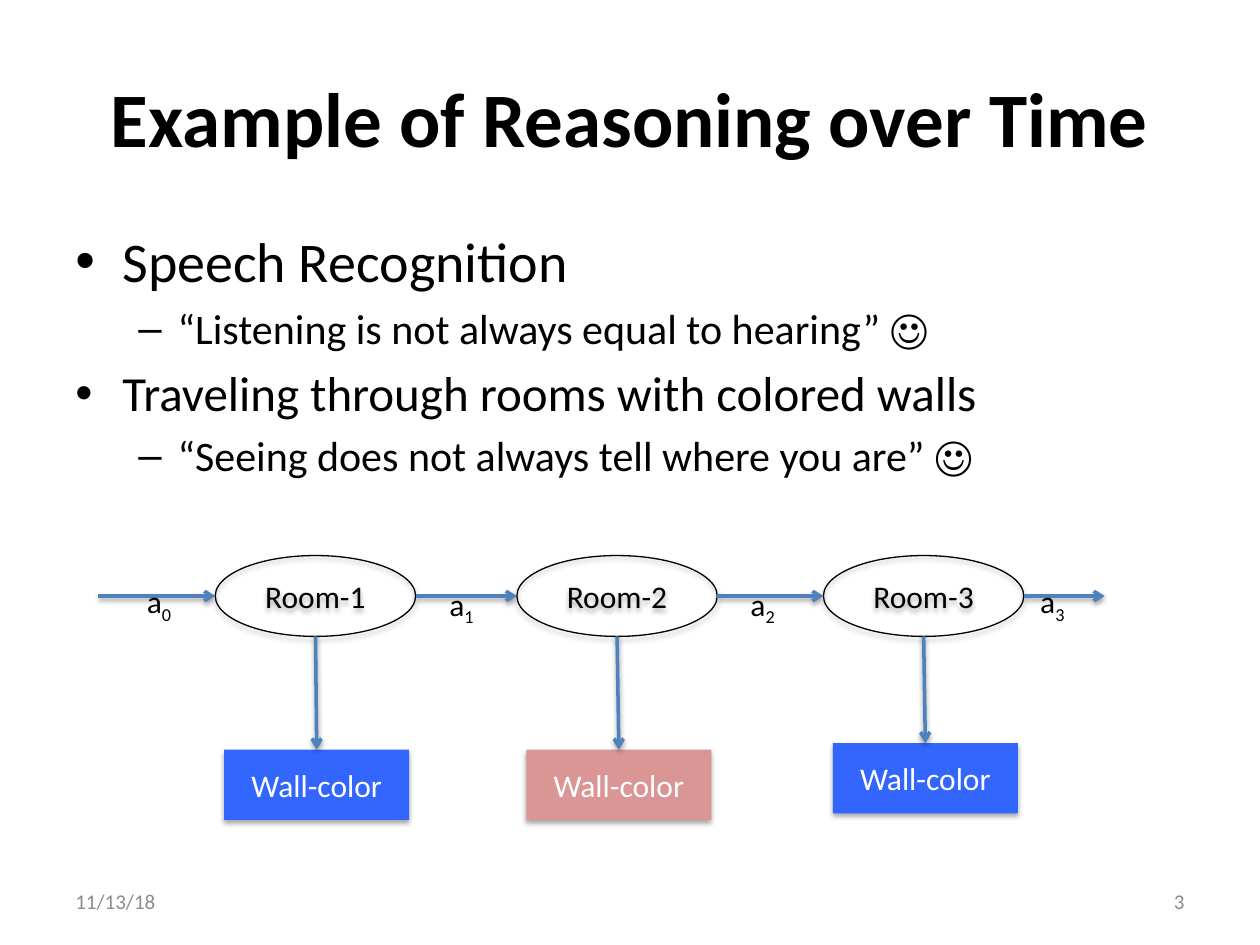
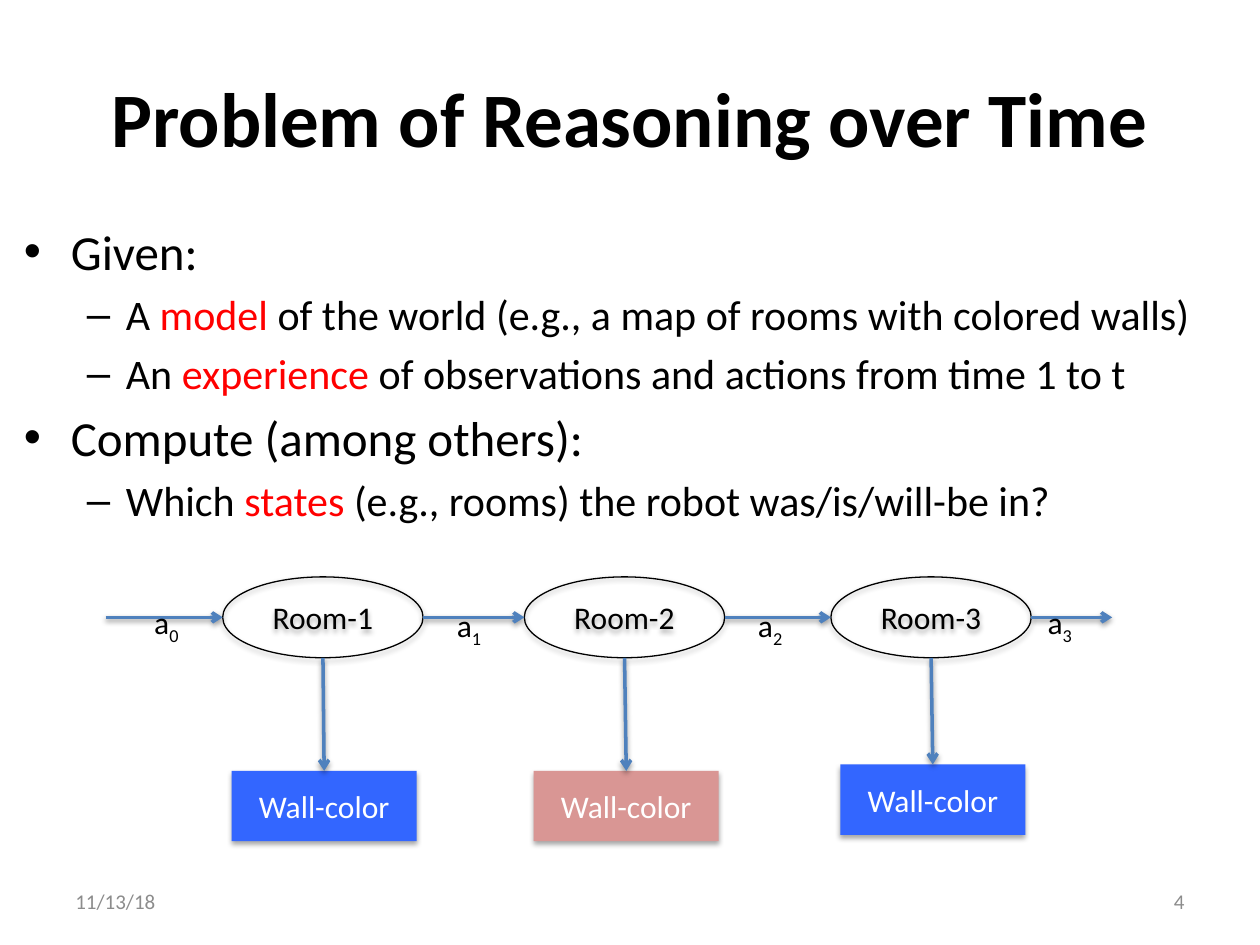
from lxml import etree
from pptx import Presentation
from pptx.dml.color import RGBColor
from pptx.enum.shapes import MSO_CONNECTOR, MSO_SHAPE
from pptx.enum.text import MSO_ANCHOR, MSO_AUTO_SIZE, PP_ALIGN
from pptx.oxml.ns import qn
from pptx.util import Cm, Pt

ELLIPSE, RECTANGLE = MSO_SHAPE.OVAL, MSO_SHAPE.RECTANGLE
STRAIGHT = MSO_CONNECTOR.STRAIGHT
LEFT, CENTER, RIGHT = PP_ALIGN.LEFT, PP_ALIGN.CENTER, PP_ALIGN.RIGHT
TOP, MIDDLE = MSO_ANCHOR.TOP, MSO_ANCHOR.MIDDLE
GROW = MSO_AUTO_SIZE.SHAPE_TO_FIT_TEXT

COLORS = {
    "text": "000000",
    "accent": "FF0000",
    "footer": "8C8C8C",
    "arrow": "4F81BD",
    "blue": "3366FF",
    "pink": "D99694",
    "white": "FFFFFF",
}
FONT = "Calibri"
DATE = "11/13/18"
# Bullet character, left margin and hanging indent (cm) per outline level
BULLETS = [("•", 0.95, -0.95), ("–", 2.06, -0.79)]

# Room chain, in cm from the top left corner of the first room
ROOM_W, ROOM_H = 4.04, 1.63
WALL_W, WALL_H = 3.73, 1.42
ROOMS = [  # name, room left, wall left, wall top, wall colour
    ("Room-1", 0, 0.18, 3.91, "blue"),
    ("Room-2", 6.08, 6.27, 3.91, "pink"),
    ("Room-3", 12.26, 12.45, 3.78, "blue"),
]
CHAIN_START, CHAIN_END = -2.36, 17.93
ACTIONS = [(-1.63, 0.41), (4.47, 0.46), (10.54, 0.46), (16.38, 0.41)]


def rgb(name):
    return RGBColor.from_string(COLORS[name])


def add_xml(parent, tag, **attributes):
    return etree.SubElement(parent, qn(tag), attributes)


class Deck:
    """Holds the shared style and the slide being filled."""

    def __init__(self):
        self.presentation = Presentation()
        self.presentation.slide_width = Cm(25.4)
        self.presentation.slide_height = Cm(19.05)
        self.shapes = None

    def new_slide(self, title, number):
        layout = self.presentation.slide_layouts[6]
        self.shapes = self.presentation.slides.add_slide(layout).shapes
        self.text(title, 1.27, 0.76, 22.86, 3.18, 44, align=CENTER, bold=True)
        for footer, left, align in ((DATE, 1.27, LEFT), (str(number), 18.21, RIGHT)):
            self.text(footer, left, 17.65, 5.92, 1.02, 12, "footer", align)

    def style(self, paragraph, size, color="text", align=LEFT, bold=False):
        paragraph.alignment = align
        font = paragraph.font
        font.name, font.size, font.bold = FONT, Pt(size), bold
        font.color.rgb = rgb(color)

    def frame(self, left, top, width, height, anchor=MIDDLE):
        box = self.shapes.add_textbox(Cm(left), Cm(top), Cm(width), Cm(height))
        box.text_frame.word_wrap = True
        box.text_frame.vertical_anchor = anchor
        return box.text_frame

    def text(self, text, left, top, width, height, size,
             color="text", align=LEFT, bold=False):
        paragraph = self.frame(left, top, width, height).paragraphs[0]
        paragraph.text = text
        self.style(paragraph, size, color, align, bold)

    def outline(self, items, left, top, width, height):
        """Items are (level, size, text); words between asterisks are accented."""
        frame = self.frame(left, top, width, height, TOP)
        for index, (level, size, text) in enumerate(items):
            paragraph = frame.add_paragraph() if index else frame.paragraphs[0]
            paragraph.level = level
            character, margin, indent = BULLETS[level]
            properties = paragraph._p.get_or_add_pPr()
            properties.set("marL", str(Cm(margin)))
            properties.set("indent", str(Cm(indent)))
            add_xml(add_xml(properties, "a:spcBef"), "a:spcPct", val="20000")
            add_xml(properties, "a:buFont", typeface="Arial")
            add_xml(properties, "a:buChar", char=character)
            self.style(paragraph, size)
            for part, words in enumerate(text.split("*")):
                run = paragraph.add_run()
                run.text = words
                if part % 2:
                    run.font.color.rgb = rgb("accent")

    def shadow(self, shape, distance, alpha):
        effects = add_xml(shape._element.spPr, "a:effectLst")
        outer = add_xml(effects, "a:outerShdw", blurRad=str(Pt(3.1)),
                        dist=str(Pt(distance)), dir="5400000", rotWithShape="0")
        black = add_xml(outer, "a:srgbClr", val=COLORS["text"])
        add_xml(black, "a:alpha", val=str(alpha * 1000))

    def node(self, kind, label, left, top, width, height, fill=None):
        """A filled node has no line; an unfilled one is outlined."""
        node = self.shapes.add_shape(kind, Cm(left), Cm(top), Cm(width), Cm(height))
        if fill:
            node.fill.solid()
            node.fill.fore_color.rgb = rgb(fill)
            node.line.fill.background()
        else:
            node.fill.background()
            node.line.color.rgb = rgb("text")
            node.line.width = Pt(0.75)
        self.shadow(node, 1.8, 35)
        node.text_frame.vertical_anchor = MIDDLE
        paragraph = node.text_frame.paragraphs[0]
        paragraph.text = label
        self.style(paragraph, 18, "white" if fill else "text", CENTER)

    def arrow(self, x1, y1, x2, y2):
        arrow = self.shapes.add_connector(STRAIGHT, Cm(x1), Cm(y1), Cm(x2), Cm(y2))
        arrow.line.color.rgb = rgb("arrow")
        arrow.line.width = Pt(2)
        add_xml(arrow.line._get_or_add_ln(), "a:tailEnd", type="arrow")
        self.shadow(arrow, 1.6, 38)

    def action(self, index, left, top):
        frame = self.frame(left, top, 1.19, 1.37, TOP)
        frame.word_wrap = False
        frame.auto_size = GROW
        paragraph = frame.paragraphs[0]
        self.style(paragraph, 18)
        paragraph.add_run().text = "a"
        subscript = paragraph.add_run()
        subscript.text = str(index)
        subscript._r.get_or_add_rPr().set("baseline", "-25000")

    def room_chain(self, left, top):
        # Rooms above their walls
        for name, room_x, wall_x, wall_y, color in ROOMS:
            self.node(ELLIPSE, name, left + room_x, top, ROOM_W, ROOM_H)
            self.node(RECTANGLE, "Wall-color", left + wall_x, top + wall_y,
                      WALL_W, WALL_H, color)
            self.arrow(left + room_x + ROOM_W / 2, top + ROOM_H,
                       left + wall_x + WALL_W / 2, top + wall_y)
        # Actions leading from room to room
        room_lefts = [room[1] for room in ROOMS]
        starts = [CHAIN_START] + [x + ROOM_W for x in room_lefts]
        middle = top + ROOM_H / 2
        for start, end in zip(starts, room_lefts + [CHAIN_END]):
            self.arrow(left + start, middle, left + end, middle)
        for index, (x, y) in enumerate(ACTIONS):
            self.action(index, left + x, top + y)


def main():
    deck = Deck()

    # Examples
    deck.new_slide("Example of Reasoning over Time", 3)
    deck.outline([
        (0, 32, "Speech Recognition"),
        (1, 24, "“Listening is not always equal to hearing” ☺"),
        (0, 28, "Traveling through rooms with colored walls"),
        (1, 24, "“Seeing does not always tell where you are” ☺"),
    ], 1.27, 4.45, 22.86, 6)
    deck.room_chain(4.34, 11.2)

    # Problem statement
    deck.new_slide("Problem of Reasoning over Time", 4)
    deck.outline([
        (0, 28, "Given:"),
        (1, 24, "A *model *of the world (e.g., a map of rooms with colored walls)"),
        (1, 24, "An *experience *of observations and actions from time 1 to t"),
        (0, 28, "Compute (among others):"),
        (1, 24, "Which *states *(e.g., rooms) the robot was/is/will-be in?"),
    ], 0.23, 4.34, 24.92, 12.57)
    deck.room_chain(4.49, 11.63)

    deck.presentation.save("out.pptx")


if __name__ == "__main__":
    main()
